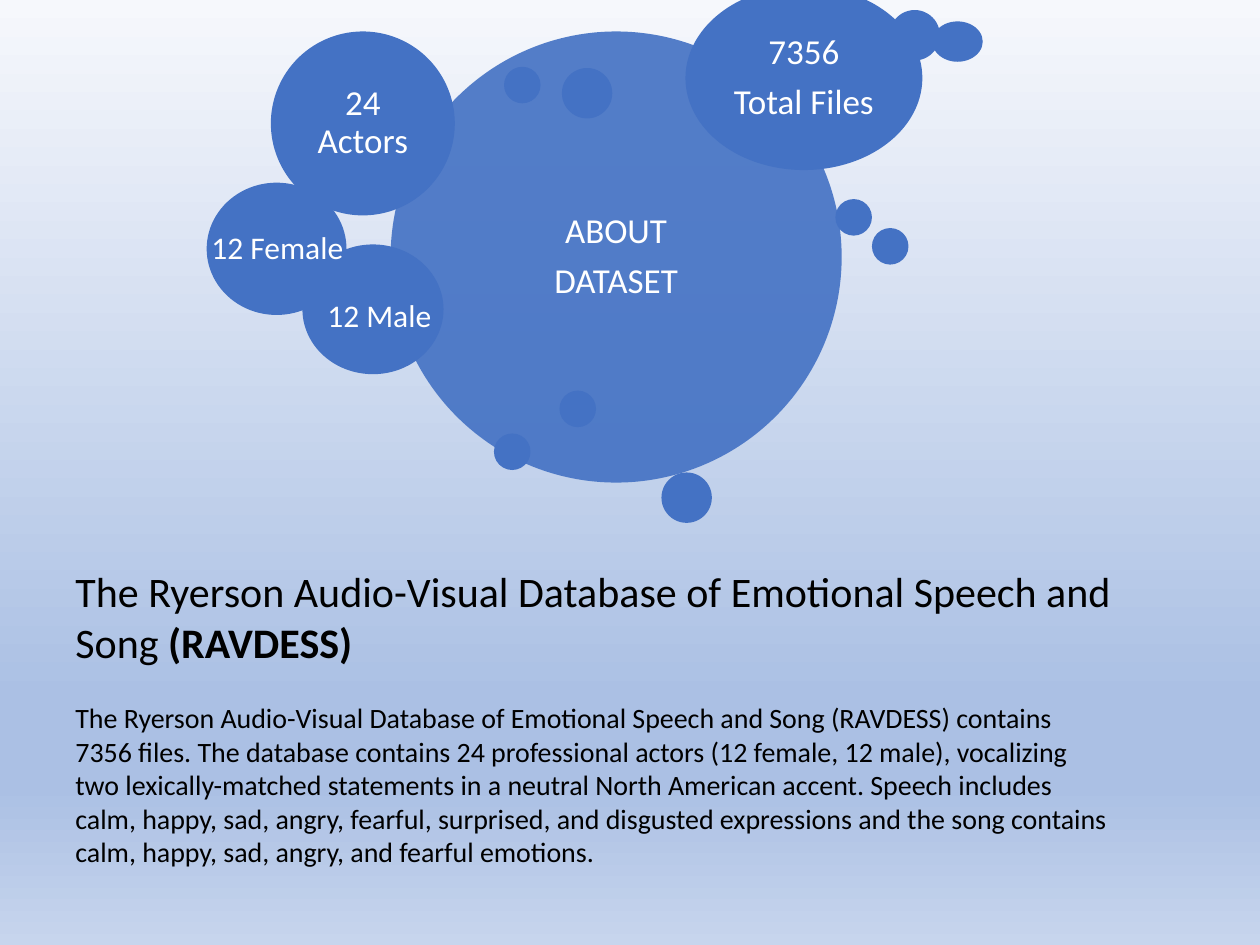
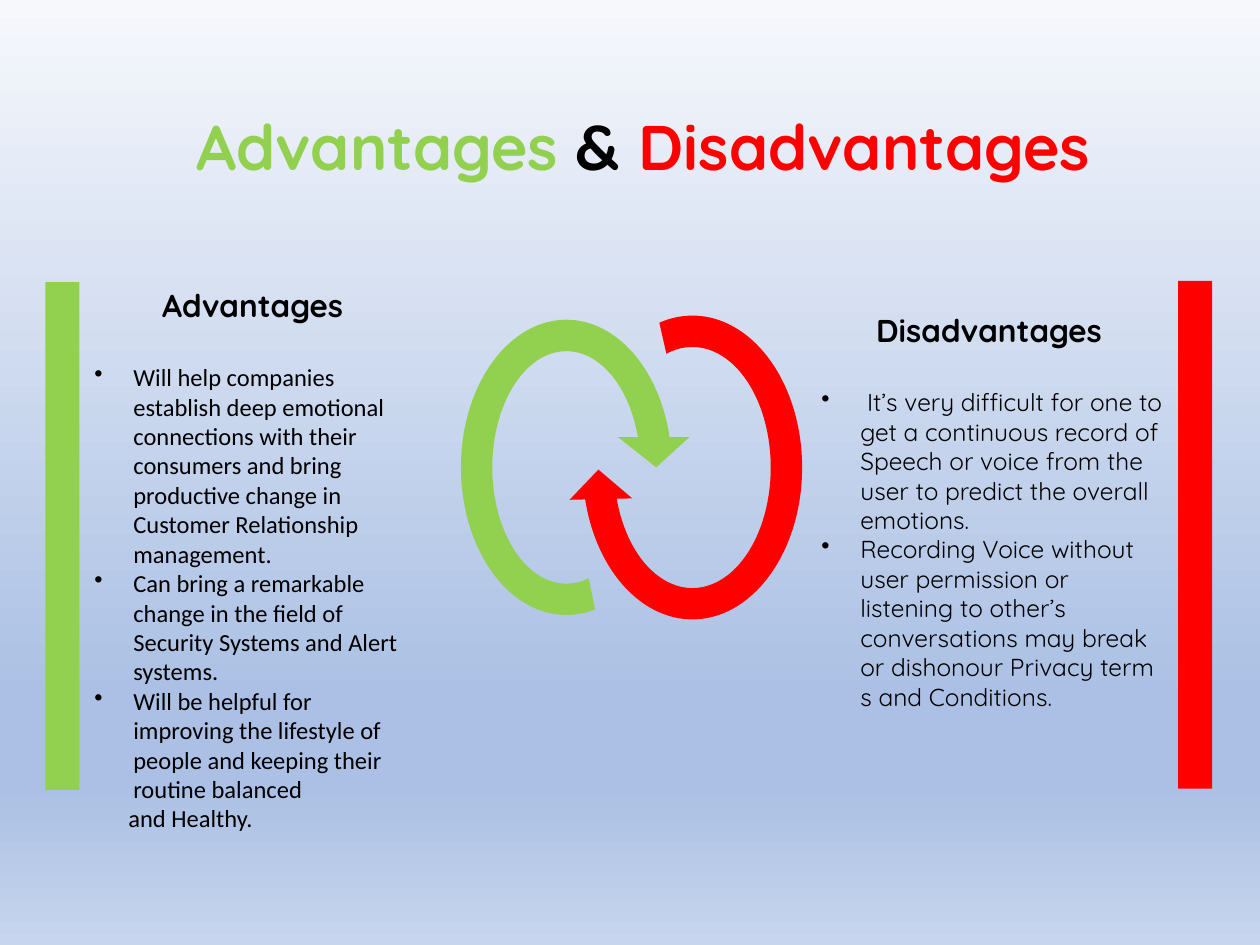
from dataclasses import dataclass

from lxml.etree import SubElement
from pptx import Presentation
from pptx.dml.color import RGBColor
from pptx.enum.shapes import MSO_SHAPE as Shape
from pptx.enum.text import MSO_ANCHOR as Anchor, PP_ALIGN as Align
from pptx.oxml.ns import qn
from pptx.util import Inches, Pt

CELL = 0.1
COLUMNS, ROWS = 100, 75


@dataclass(frozen=True)
class Theme:
    bubble: str = "4472C4"
    light: str = "FFFFFF"
    dark: str = "000000"
    pro: str = "92D050"
    con: str = "FF0000"
    backdrop: tuple = ((0, "F6F8FC"), (74, "ABC0E4"), (83, "ABC0E4"), (100, "C7D5ED"))
    body_font: str = "Calibri"
    accent_font: str = "Quicksand"
    title: int = 36
    lead: int = 24
    bubble_text: int = 20
    heading: int = 18
    passage: int = 16
    bullet: int = 14


@dataclass(frozen=True)
class Box:
    x: float
    y: float
    w: float
    h: float

    def inner(self, x, y, w, h):
        return Box(self.x + x, self.y + y, w, h)

    def place(self):
        return [Inches(cells * CELL) for cells in (self.x, self.y, self.w, self.h)]


THEME = Theme()


def paint_backdrop(master):
    fill = master.background.fill
    fill.gradient()
    fill.gradient_angle = 270
    stops = master.element.find(".//" + qn("a:gsLst"))
    for stop in list(stops):
        stops.remove(stop)
    for percent, color in THEME.backdrop:
        stop = SubElement(stops, qn("a:gs"), pos=str(percent * 1000))
        SubElement(stop, qn("a:srgbClr"), val=color)


def add_filled(slide, kind, box, color):
    figure = slide.shapes.add_shape(kind, *box.place())
    figure.shadow.inherit = False
    figure.fill.solid()
    figure.fill.fore_color.rgb = RGBColor.from_string(color)
    figure.line.fill.background()
    return figure


def add_text_frame(slide, box):
    frame = slide.shapes.add_textbox(*box.place()).text_frame
    frame.word_wrap = True
    return frame


def style(font, size, color=THEME.dark, name=THEME.body_font, bold=False):
    font.size, font.name, font.bold = Pt(size), name, bold
    font.color.rgb = RGBColor.from_string(color)


def write(frame, text, size, color=THEME.dark, name=THEME.body_font, bold=False, align=Align.LEFT):
    first = frame.paragraphs[0]
    paragraph = frame.add_paragraph() if first.runs else first
    paragraph.add_run().text = text
    paragraph.alignment = align
    style(paragraph.font, size, color, name, bold)
    return paragraph


def indent(paragraph, inches, bullet=False):
    properties = paragraph._p.get_or_add_pPr()
    properties.set("marL", str(Inches(inches)))
    if bullet:
        properties.set("indent", str(-Inches(inches)))
        mark = SubElement(properties, qn("a:buChar"), char="•")
        defaults = properties.find(qn("a:defRPr"))
        if defaults is not None:
            defaults.addprevious(mark)


def add_bubble(slide, box, lines=(), opacity=100):
    bubble = add_filled(slide, Shape.OVAL, box, THEME.bubble)
    if opacity < 100:
        color = bubble.element.spPr.find(".//" + qn("a:srgbClr"))
        SubElement(color, qn("a:alpha"), val=str(opacity * 1000))
    if not lines:
        return
    frame = bubble.text_frame
    frame.word_wrap = True
    frame.vertical_anchor = Anchor.MIDDLE
    frame.margin_left = frame.margin_right = Inches(0.08)
    frame.margin_top = frame.margin_bottom = Inches(0.08)
    for line in lines:
        paragraph = write(frame, line, THEME.bubble_text, THEME.light, align=Align.CENTER)
        paragraph.line_spacing = 0.9
        paragraph.space_after = Pt(7)


def add_bubble_cluster(slide, box):
    small, medium = 2.9, 4
    add_bubble(slide, box.inner(14.6, 3.6, 35.8, 35.8), ("ABOUT", "DATASET"), opacity=91)
    dots = (
        (54.2, 1.9, medium), (22.8, 35.5, small), (49.9, 16.9, small),
        (36.1, 38.6, medium), (23.6, 6.4, small), (28.2, 6.5, medium),
        (52.8, 19.2, small), (28, 32.1, small),
    )
    for x, y, diameter in dots:
        add_bubble(slide, box.inner(x, y, diameter, diameter))
    add_bubble(slide, box.inner(57.6, 2.8, medium, 3.2))
    add_bubble(slide, box.inner(7.6, 20.5, 11.2, 10.3))
    add_bubble(slide, box.inner(5.1, 3.6, 14.6, 14.6), ("24 Actors",))
    add_bubble(slide, box.inner(0, 15.6, 11.1, 10.5))
    add_bubble(slide, box.inner(38, 0, 18.8, 14.6), ("7356", "Total Files"))
    labels = (("12 Male", 8.6, 24.1, 11.7), ("12 Female", -0.6, 18.7, 12.5))
    for label, x, y, width in labels:
        frame = add_text_frame(slide, box.inner(x, y, width, 4))
        frame.margin_right = 0
        write(frame, label, THEME.heading, THEME.light)


def add_description(slide, box):
    frame = add_text_frame(slide, box)
    lead = write(
        frame,
        "The Ryerson Audio-Visual Database of Emotional Speech and Song ",
        THEME.lead,
    )
    acronym = lead.add_run()
    acronym.text = "(RAVDESS)"
    acronym.font.bold = True
    passage = write(
        frame,
        "The Ryerson Audio-Visual Database of Emotional Speech and Song (RAVDESS) contains "
        "7356 files. The database contains 24 professional actors (12 female, 12 male), "
        "vocalizing two lexically-matched statements in a neutral North American accent. "
        "Speech includes calm, happy, sad, angry, fearful, surprised, and disgusted "
        "expressions and the song contains calm, happy, sad, angry, and fearful emotions.",
        THEME.passage,
    )
    passage.space_before = Pt(19.5)


def add_comparison_title(slide, box):
    title = add_text_frame(slide, box).paragraphs[0]
    title.alignment = Align.CENTER
    words = (("Advantages", THEME.pro), (" & ", THEME.dark), ("Disadvantages", THEME.con))
    for word, color in words:
        run = title.add_run()
        run.text = word
        style(run.font, THEME.title, color, THEME.accent_font, bold=True)


def add_points(slide, box, heading, points, endings, font, ending_indent):
    frame = add_text_frame(slide, box)
    write(frame, heading, THEME.heading, name=THEME.accent_font, bold=True, align=Align.CENTER)
    for order, point in enumerate(points):
        paragraph = write(frame, point, THEME.bullet, name=font)
        indent(paragraph, 0.31, bullet=True)
        if order == 0:
            paragraph.space_before = Pt(22)
    for ending in endings:
        indent(write(frame, ending, THEME.bullet, name=font), ending_indent)


def add_advantages(slide, box):
    add_filled(slide, Shape.RECTANGLE, box.inner(0, 0, 2.7, 40.3), THEME.pro)
    points = (
        "Will help companies establish deep emotional connections with their consumers "
        "and bring productive change in Customer Relationship management.",
        "Can bring a remarkable change in the field of Security Systems and Alert systems.",
        "Will be helpful for improving the lifestyle of people and keeping their "
        "routine balanced",
    )
    text_box = box.inner(2.9, -0.2, box.w - 2.9, box.h)
    add_points(slide, text_box, "Advantages", points, ("and Healthy.",), THEME.body_font, 0.27)


def add_disadvantages(slide, box):
    add_filled(slide, Shape.RECTANGLE, box.inner(box.w - 2.7, 0, 2.7, 40.3), THEME.con)
    points = (
        " It’s very difficult for one to get a continuous record of Speech or voice "
        "from the user to predict the overall emotions.",
        "Recording Voice without user permission or listening to other’s conversations "
        "may break",
    )
    endings = ("or dishonour Privacy term", "s and Conditions.")
    text_box = box.inner(0, 1.9, box.w - 2.7, 35.3)
    add_points(slide, text_box, "Disadvantages ", points, endings, THEME.accent_font, 0.31)


def add_cycle(slide, box):
    arrows = (
        (0, 0, THEME.pro, (0.125, 11.423, 204.577, 47.147, 0.142)),
        (10, 180, THEME.con, (0.125, 10.672, 204.577, 46.274, 0.125)),
    )
    for x, rotation, color, bends in arrows:
        arrow = add_filled(slide, Shape.CIRCULAR_ARROW, box.inner(x, 0, 19.9, box.h), color)
        arrow.rotation = rotation
        for index, bend in enumerate(bends):
            arrow.adjustments[index] = bend


def build_dataset_slide(slide):
    add_bubble_cluster(slide, Box(16.4, -1.1, 61.6, 42.6))
    add_description(slide, Box(5, 44.4, 84.2, 29))


def build_comparison_slide(slide):
    add_cycle(slide, Box(35, 23.8, 29.9, 26.6))
    add_advantages(slide, Box(3.6, 22.4, 30, 52.5))
    add_disadvantages(slide, Box(64.2, 22.3, 32, 40.3))
    add_comparison_title(slide, Box(4.9, 8, 92.3, 7.1))


def main():
    deck = Presentation()
    deck.slide_width, deck.slide_height = Inches(COLUMNS * CELL), Inches(ROWS * CELL)
    paint_backdrop(deck.slide_master)
    blank = deck.slide_layouts[6]
    for build in (build_dataset_slide, build_comparison_slide):
        build(deck.slides.add_slide(blank))
    deck.save("out.pptx")


if __name__ == "__main__":
    main()
